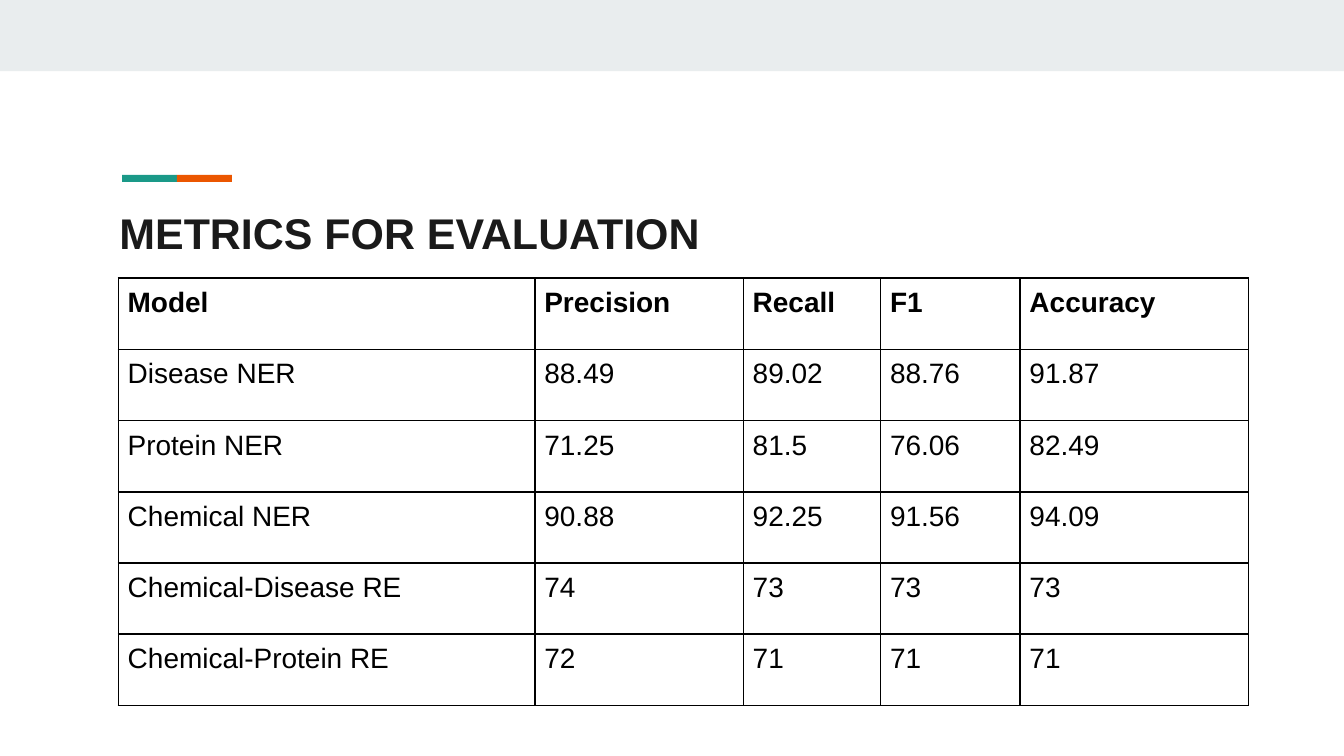
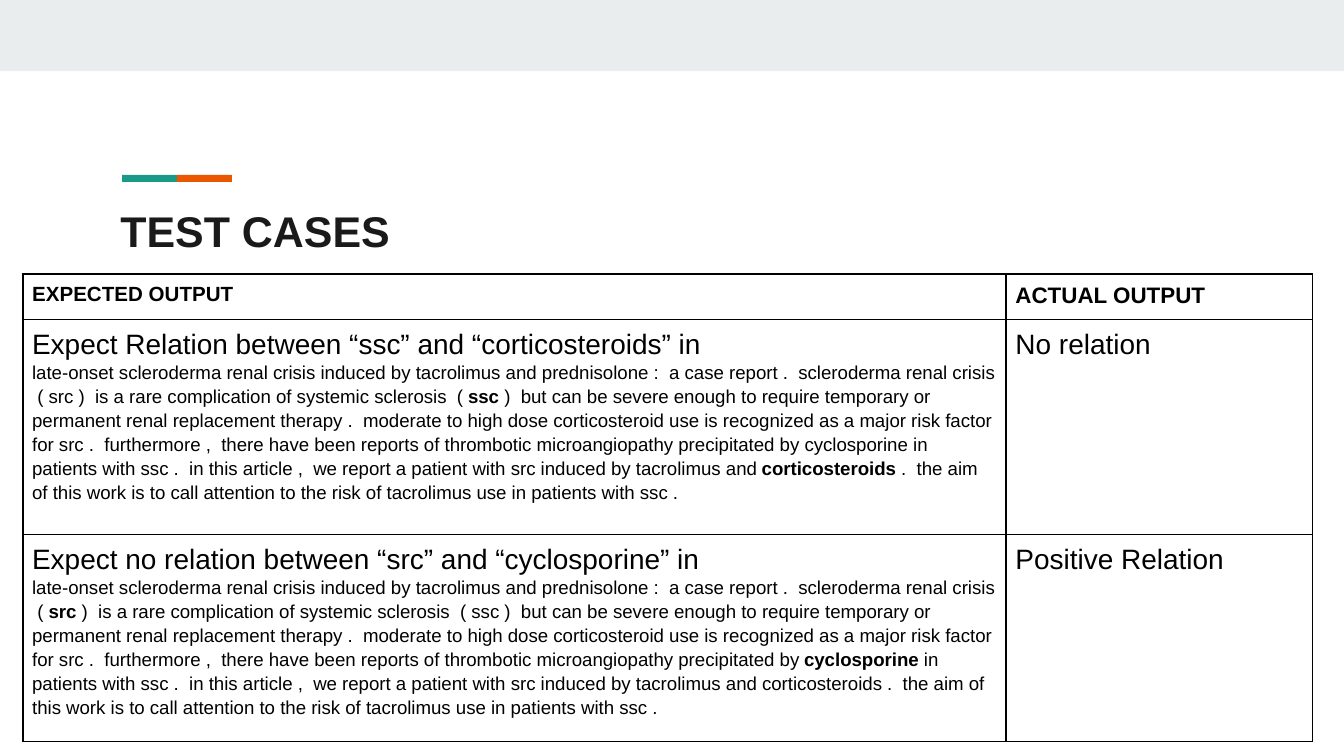
import pptx
import pptx.dml.color
import pptx.enum.shapes
import pptx.enum.text
import pptx.oxml
import pptx.oxml.ns
import pptx.util

Pt = pptx.util.Pt
FONT = "Arial"
BLACK, TITLE, BAND = "000000", "1A1A1A", "E9EDEE"
TEAL, ORANGE = "1A9988", "EB5600"
CELL_INSET = 5.04
BAR_LEFT, BAR_TOP, BAR_WIDTH, BAR_HEIGHT = 65.4, 93.7, 29.4, 3.7


def color(value):
    return pptx.dml.color.RGBColor.from_string(value)


def add_run(paragraph, text, size, bold=False, ink=BLACK):
    run = paragraph.add_run()
    run.text = text
    run.font.name = FONT
    run.font.size = Pt(size)
    run.font.bold = bold
    run.font.color.rgb = color(ink)


# A cell is a list of paragraphs, a paragraph a list of (text, size, bold) runs.
metrics = [
    ("Model", "Precision", "Recall", "F1", "Accuracy"),
    ("Disease NER", "88.49", "89.02", "88.76", "91.87"),
    ("Protein NER", "71.25", "81.5", "76.06", "82.49"),
    ("Chemical NER", "90.88", "92.25", "91.56", "94.09"),
    ("Chemical-Disease RE", "74", "73", "73", "73"),
    ("Chemical-Protein RE", "72", "71", "71", "71"),
]
metric_rows = [[[[(text, 15, index == 0)]] for text in row]
               for index, row in enumerate(metrics)]

abstract = (
    "late-onset scleroderma renal crisis induced by tacrolimus and prednisolone :  "
    "a case report .  scleroderma renal crisis  ( src )  is a rare complication of "
    "systemic sclerosis  ( ssc )  but can be severe enough to require temporary or "
    "permanent renal replacement therapy .  moderate to high dose corticosteroid use "
    "is recognized as a major risk factor for src .  furthermore ,  there have been "
    "reports of thrombotic microangiopathy precipitated by cyclosporine in patients "
    "with ssc .  in this article ,  we report a patient with src induced by tacrolimus "
    "and corticosteroids .  the aim of this work is to call attention to the risk of "
    "tacrolimus use in patients with ssc ."
)
test_rows = [[[[("EXPECTED OUTPUT", 11, True)]], [[("ACTUAL OUTPUT", 12, True)]]]]
for expectation, first_term, second_term, result in (
    ("Expect Relation", "ssc", "corticosteroids", "No relation"),
    ("Expect no relation", "src", "cyclosporine", "Positive Relation"),
):
    heading = [(f"{expectation} between “{first_term}” and “{second_term}” in", 15, False)]
    passage, remaining = [], abstract
    for term in (first_term + " ", second_term + " "):
        before, match, remaining = remaining.partition(term)
        passage += [(before, 10, False), (match, 10, True)]
    passage.append((remaining, 10, False))
    test_rows.append([[heading, passage], [[(result, 15, False)]]])

# Title, title position, table position, column widths, row heights, cells
pages = [
    ("METRICS FOR EVALUATION", (56.9, 102.2), (63.4, 149),
     (223.2, 111.6, 73.6, 74.7, 122.4), [38.16] * 6, metric_rows),
    ("TEST CASES", (57.4, 101), (12.2, 146.7),
     (526.8, 164.2), (23.4, 115.2, 103.9), test_rows),
]

presentation = pptx.Presentation()
presentation.slide_width = Pt(720)
presentation.slide_height = Pt(405)

for title, title_at, table_at, widths, heights, rows in pages:
    slide = presentation.slides.add_slide(presentation.slide_layouts[6])

    for left, top, width, height, fill in (
        (0, 0, 720, 38.2, BAND),
        (BAR_LEFT, BAR_TOP, BAR_WIDTH, BAR_HEIGHT, TEAL),
        (BAR_LEFT + BAR_WIDTH, BAR_TOP, BAR_WIDTH, BAR_HEIGHT, ORANGE),
    ):
        shape = slide.shapes.add_shape(
            pptx.enum.shapes.MSO_SHAPE.RECTANGLE,
            Pt(left), Pt(top), Pt(width), Pt(height))
        shape.shadow.inherit = False
        shape.fill.solid()
        shape.fill.fore_color.rgb = color(fill)
        shape.line.fill.background()

    title_box = slide.shapes.add_textbox(
        Pt(title_at[0]), Pt(title_at[1]), Pt(605.5), Pt(42.2))
    frame = title_box.text_frame
    frame.word_wrap = True
    frame.vertical_anchor = pptx.enum.text.MSO_ANCHOR.BOTTOM
    frame.margin_left = frame.margin_right = frame.margin_top = Pt(7.2)
    frame.margin_bottom = Pt(6)
    add_run(frame.paragraphs[0], title, 23, True, TITLE)

    table = slide.shapes.add_table(
        len(rows), len(widths), Pt(table_at[0]), Pt(table_at[1]),
        Pt(sum(widths)), Pt(sum(heights))).table
    table.first_row = False
    table.horz_banding = False
    for column, width in zip(table.columns, widths):
        column.width = Pt(width)
    for table_row, height, row in zip(table.rows, heights, rows):
        table_row.height = Pt(height)
        for cell, paragraphs in zip(table_row.cells, row):
            cell.margin_left = cell.margin_right = Pt(CELL_INSET)
            cell.margin_top = cell.margin_bottom = Pt(CELL_INSET)
            properties = cell._tc.get_or_add_tcPr()
            for side in ("lnL", "lnR", "lnT", "lnB"):
                properties.append(pptx.oxml.parse_xml(
                    f'<a:{side} {pptx.oxml.ns.nsdecls("a")} w="{Pt(1)}"><a:solidFill>'
                    f'<a:srgbClr val="{BLACK}"/></a:solidFill></a:{side}>'))
            cell.fill.background()
            for index, runs in enumerate(paragraphs):
                if index == 0:
                    paragraph = cell.text_frame.paragraphs[0]
                else:
                    paragraph = cell.text_frame.add_paragraph()
                    paragraph.line_spacing = 1.15
                for text, size, bold in runs:
                    add_run(paragraph, text, size, bold)

presentation.save("out.pptx")
